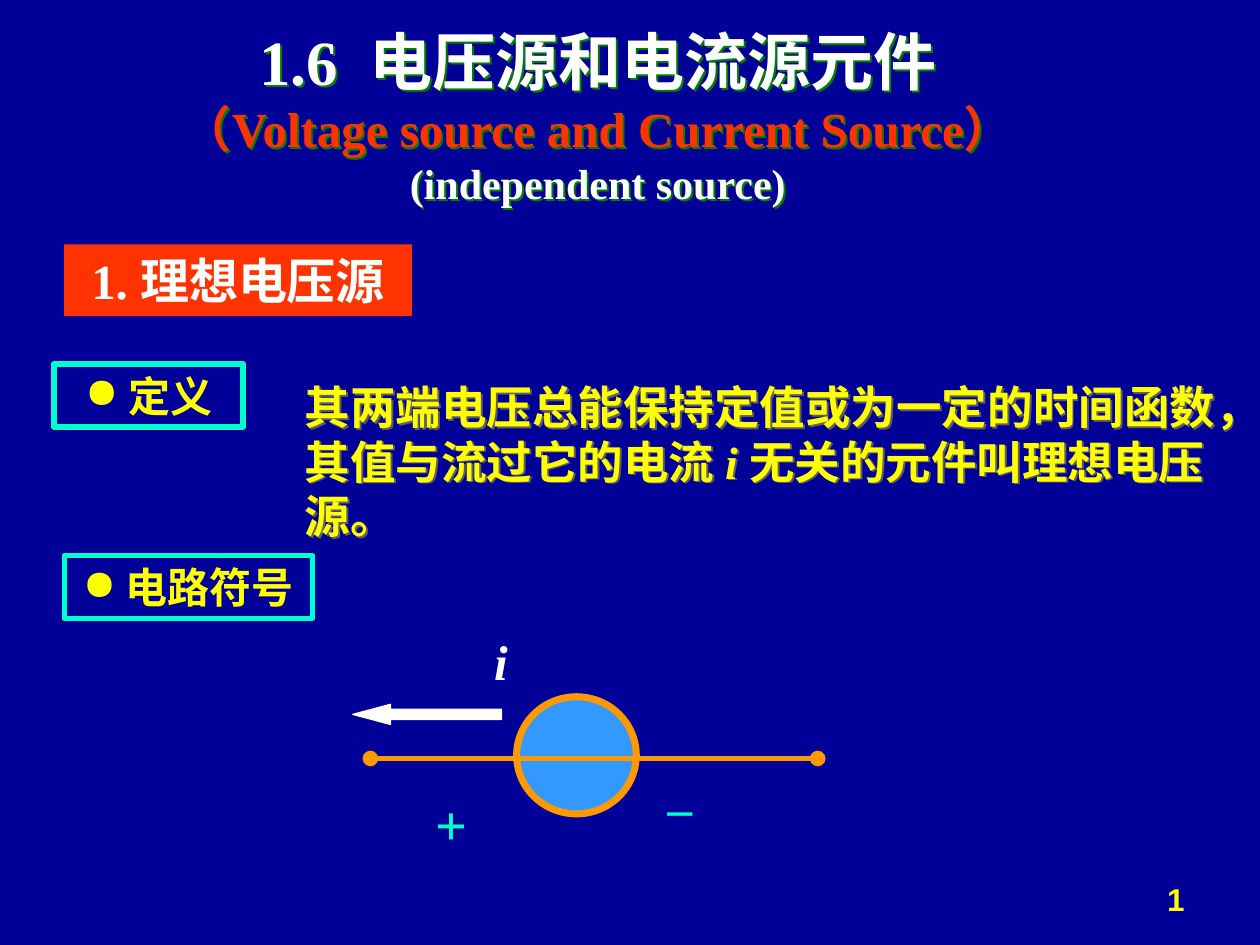
from lxml.etree import SubElement
from pptx import Presentation
from pptx.dml.color import RGBColor as Color
from pptx.enum.shapes import MSO_CONNECTOR as Connector, MSO_SHAPE as Preset
from pptx.enum.text import MSO_ANCHOR as Anchor, MSO_AUTO_SIZE as AutoSize, PP_ALIGN as Align
from pptx.oxml.ns import qn
from pptx.util import Inches, Pt

COLORS = {
    "navy": "000099", "white": "FFFFFF", "red": "FF3300", "yellow": "FFFF00",
    "aqua": "00FFCC", "blue": "3399FF", "orange": "FF9900",
    "green": "008000", "gray": "5F5F5F",
}
COLORS_RGB = {name: Color.from_string(value) for name, value in COLORS.items()}

deck = Presentation()
deck.slide_width, deck.slide_height = Inches(10), Inches(7.5)
CELL = deck.slide_width / 100


def grid(*cells):
    return [round(cell * CELL) for cell in cells]


def add_span(para, text, size, color, italic=False, face="Times New Roman"):
    span = para.add_run()
    span.text = text
    span.font.name, span.font.size = face, Pt(size)
    span.font.bold, span.font.italic = True, italic
    span.font.color.rgb = COLORS_RGB[color]
    return span


page = deck.slides.add_slide(deck.slide_layouts[5])
page.background.fill.solid()
page.background.fill.fore_color.rgb = COLORS_RGB["navy"]

title = page.shapes.title
title.left, title.top, title.width, title.height = grid(12.3, 1.3, 70.3, 15.7)
frame = title.text_frame
frame.auto_size, frame.word_wrap = AutoSize.NONE, False
frame.vertical_anchor = Anchor.MIDDLE
heading = frame.paragraphs[0]
add_span(heading, "1.6", 36, "white")
gap = add_span(heading, " ", 36, "white")
gap.font._element.set("spc", "900")
add_span(heading, "电压源和电流源元件", 36, "white")
add_span(frame.add_paragraph(), "（Voltage source and Current Source）", 28, "red")
add_span(frame.add_paragraph(), "(independent source)", 24, "white")
for para in frame.paragraphs:
    para.alignment = Align.CENTER

section = page.shapes.add_shape(Preset.RECTANGLE, *grid(5.1, 19.4, 27.6, 5.7))
section.shadow.inherit = False
section.fill.solid()
section.fill.fore_color.rgb = COLORS_RGB["red"]
section.line.fill.background()
section.text_frame.vertical_anchor = Anchor.TOP
para = section.text_frame.paragraphs[0]
para.alignment = Align.CENTER
add_span(para, "1. 理想电压源", 28, "white")

for label, cells in [
    (" 定义", (4.3, 28.9, 15, 5)),
    (" 电路符号", (5.1, 44.1, 19.7, 5)),
]:
    box = page.shapes.add_shape(Preset.RECTANGLE, *grid(*cells))
    box.shadow.inherit = False
    box.fill.background()
    box.line.color.rgb, box.line.width = COLORS_RGB["aqua"], Pt(3)
    box.text_frame.vertical_anchor = Anchor.MIDDLE
    para = box.text_frame.paragraphs[0]
    para.alignment = Align.CENTER
    props = para._p.get_or_add_pPr()
    SubElement(SubElement(props, qn("a:buClr")), qn("a:srgbClr"), val=COLORS["yellow"])
    SubElement(props, qn("a:buChar"), char="●")
    add_span(para, label, 24, "yellow")

circuit = page.shapes.add_group_shape().shapes
for label, cells, size, color, italic in [
    ("i", (38.2, 49.6, 3.1, 5.7), 28, "white", True),
    ("+", (33.5, 62.2, 4.7, 6.4), 32, "aqua", False),
    ("_", (51.6, 59.9, 4.7, 5.7), 28, "aqua", False),
]:
    box = circuit.add_textbox(*grid(*cells))
    box.text_frame.word_wrap = not italic
    para = box.text_frame.paragraphs[0]
    para.alignment = Align.CENTER
    add_span(para, label, size, color, italic)

arrow = circuit.add_shape(Preset.LEFT_ARROW, *grid(28, 55.9, 11.8, 1.6))
arrow.adjustments[0], arrow.adjustments[1] = 0.5, 1.87
source = circuit.add_shape(Preset.OVAL, *grid(41, 55.3, 9.5, 9.3))
for shape, fill, line, width in [
    (arrow, "white", "white", 0.75),
    (source, "blue", "orange", 4),
]:
    shape.shadow.inherit = False
    shape.fill.solid()
    shape.fill.fore_color.rgb = COLORS_RGB[fill]
    shape.line.color.rgb, shape.line.width = COLORS_RGB[line], Pt(width)

wire = circuit.add_connector(Connector.STRAIGHT, *grid(64.9, 60.2, 29.4, 60.2))
wire.line.color.rgb, wire.line.width = COLORS_RGB["orange"], Pt(3)
for end in ("a:headEnd", "a:tailEnd"):
    SubElement(wire.line._get_or_add_ln(), qn(end), type="oval")
SubElement(wire._element.spPr, qn("a:effectLst"))

definition = page.shapes.add_textbox(*grid(23.2, 29.6, 76.8, 14))
definition.text_frame.word_wrap = True
para = definition.text_frame.paragraphs[0]
add_span(para, "其两端电压总能保持定值或为一定的时间函数，其值与流过它的电流 ", 26, "yellow")
add_span(para, "i ", 26, "yellow", True)
add_span(para, "无关的元件叫理想电压源。", 26, "yellow")

for box, color in [(title, "green"), (definition, "gray")]:
    effects = SubElement(box._element.spPr, qn("a:effectLst"))
    shadow = SubElement(effects, qn("a:outerShdw"), dist=str(Pt(1.5)), dir="2700000")
    SubElement(shadow, qn("a:srgbClr"), val=COLORS[color])

number = page.shapes.add_textbox(*grid(71.7, 68.3, 23.3, 5))
number.text_frame.word_wrap = True
number.text_frame.vertical_anchor = Anchor.BOTTOM
para = number.text_frame.paragraphs[0]
para.alignment = Align.RIGHT
add_span(para, "1", 18, "yellow", face="Arial")

deck.save("out.pptx")
